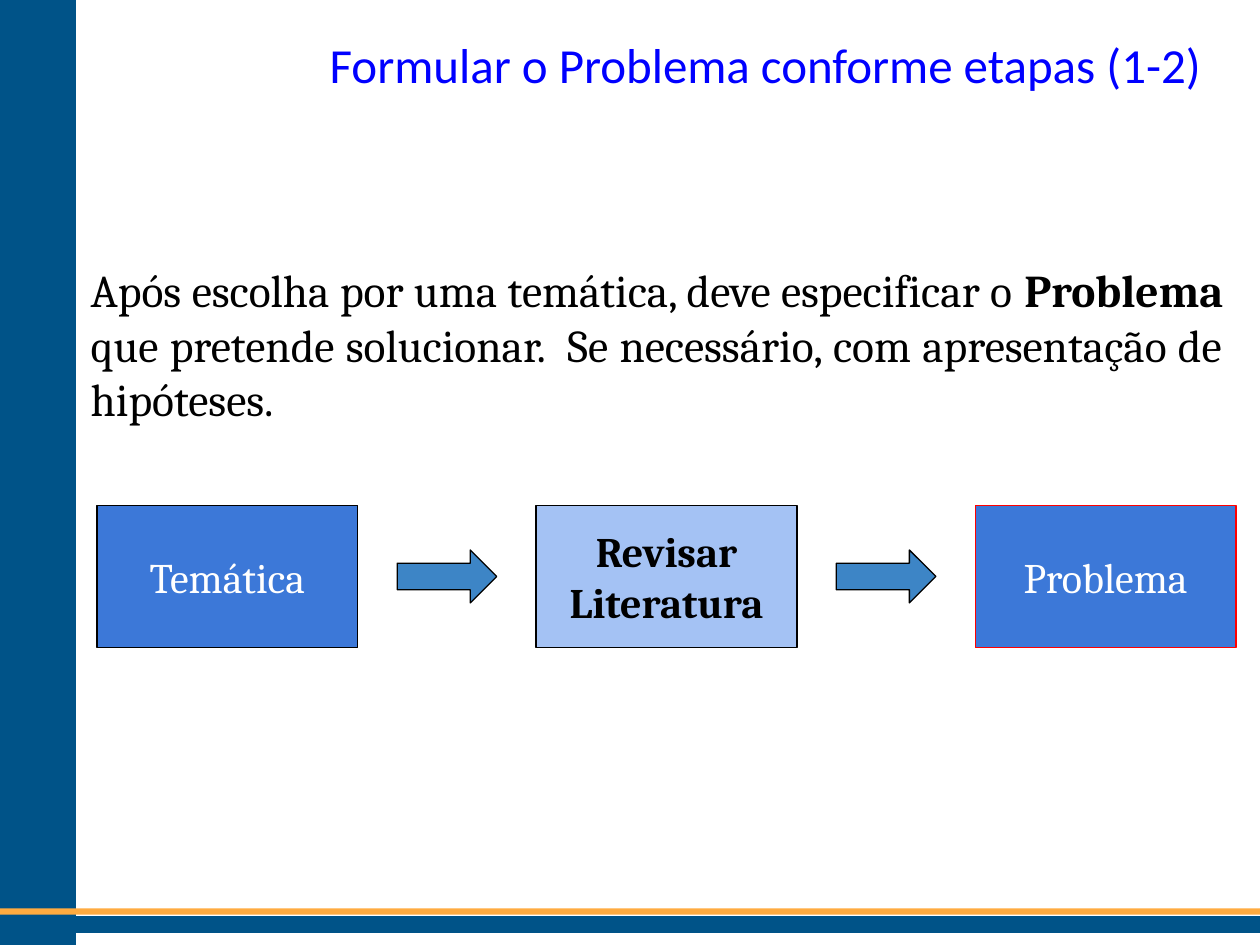
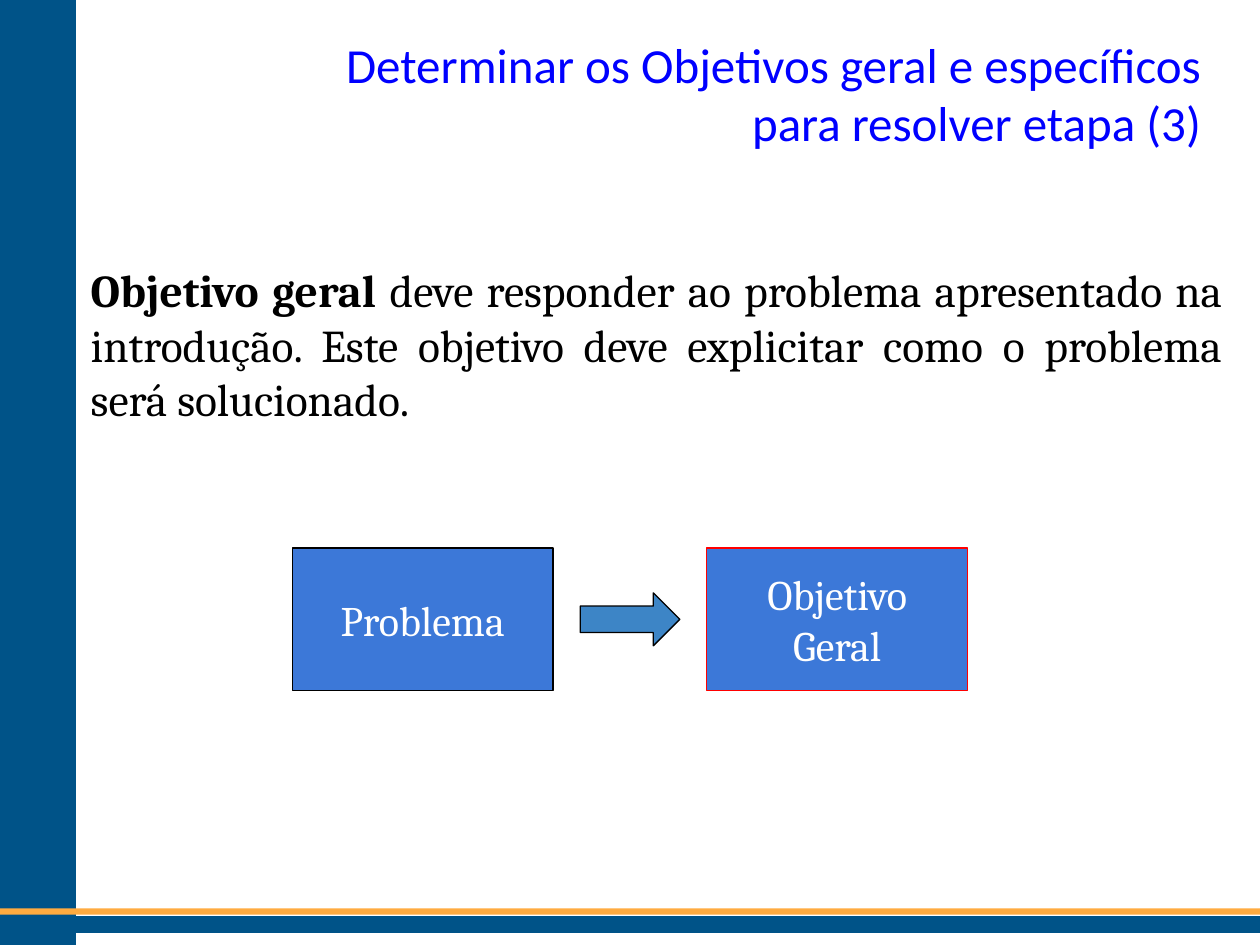
import pptx
import pptx.util
import pptx.dml.color
import pptx.enum.shapes
import pptx.enum.text
import lxml.etree

COLS, ROWS = 100, 75
WIDE, HIGH = pptx.util.Inches(10), pptx.util.Inches(7.5)
KIND = pptx.enum.shapes.MSO_SHAPE
ALIGN = pptx.enum.text.PP_ALIGN
ANCHOR = pptx.enum.text.MSO_ANCHOR
NAVY, GOLD, BLUE, PALE, SKY = "005388", "FFAB40", "3C78D8", "A4C2F4", "3D85C6"
BLACK, WHITE, RED = "000000", "FFFFFF", "FF0000"
HEAD = {"name": "Calibri", "size": 28, "color": "0000FF", "bold": False}
BODY = {"name": "Cambria", "size": 26, "color": BLACK, "bold": False}
NODE = {"name": "Cambria", "size": 24, "color": WHITE, "bold": False}
STRONG = {"color": BLACK, "bold": True}
NODE_W, ARROW_W, ARROW_H = 20.7, 7.9, 4.2

BANDS = [
    ((0, 0, 6, 75), NAVY, NAVY),
    ((0, 72.8, 100, 1.2), NAVY, NAVY),
    ((0, 72.1, 100, 0.5), GOLD, None),
]

SLIDES = [
    {
        "title": "Formular o Problema conforme etapas (1-2)",
        "head": (16.2, 1.7, 80.1, 7.8),
        "text": [
            ("Após escolha por uma temática, deve especificar o ", False),
            ("Problema ", True),
            ("que pretende solucionar.  Se necessário, com apresentação de hipóteses.", False),
        ],
        "flow": (7.7, 40.1, 90.4, 11.3),
        "steps": [
            ("Temática", BLUE, BLACK, {}),
            ("Revisar Literatura", PALE, BLACK, STRONG),
            ("Problema", BLUE, RED, {}),
        ],
    },
    {
        "title": "Determinar os Objetivos geral e específicos para resolver etapa (3)",
        "head": (26, 1.7, 70.3, 7.8),
        "text": [
            ("Objetivo geral", True),
            (" deve responder ao problema apresentado na introdução. "
             "Este objetivo deve explicitar como o problema será solucionado.", False),
        ],
        "flow": (23.2, 43.5, 53.6, 11.3),
        "steps": [
            ("Problema", BLUE, BLACK, {}),
            ("Objetivo Geral", BLUE, RED, {}),
        ],
    },
]


def tint(code):
    """Turn a hex string into a colour."""
    return pptx.dml.color.RGBColor.from_string(code)


def span(box):
    """Turn a box in grid units into slide lengths."""
    x, y, w, h = box
    return (round(x * WIDE / COLS), round(y * HIGH / ROWS),
            round(w * WIDE / COLS), round(h * HIGH / ROWS))


def assign(item, values):
    """Set each attribute named in a dict."""
    for key, value in values.items():
        setattr(item, key, value)


def write(par, text, form):
    """Add a run of text in the given format."""
    run = par.add_run()
    run.text = text
    assign(run.font, {"name": form["name"], "bold": form["bold"],
                      "size": pptx.util.Pt(form["size"])})
    run.font.color.rgb = tint(form["color"])


def frame(shape, align, anchor, pad):
    """Prepare a text frame and return its first paragraph."""
    text = shape.text_frame
    side = pptx.util.Inches(0.1)
    edge = pptx.util.Inches(pad)
    assign(text, {"word_wrap": True, "auto_size": pptx.enum.text.MSO_AUTO_SIZE.NONE,
                  "vertical_anchor": anchor, "margin_left": side, "margin_right": side,
                  "margin_top": edge, "margin_bottom": edge})
    par = text.paragraphs[0]
    assign(par, {"alignment": align, "space_before": pptx.util.Pt(0)})
    return par


def draw(slide, kind, box, fill, line, width=0.75):
    """Add a flat shape with a fill and an optional line."""
    shape = slide.shapes.add_shape(kind, *span(box))
    shape.shadow.inherit = False
    shape.fill.solid()
    shape.fill.fore_color.rgb = tint(fill)
    if line:
        shape.line.color.rgb = tint(line)
        shape.line.width = pptx.util.Pt(width)
    else:
        shape.line.fill.background()
    return shape


def brand(slide, master):
    """Draw the shared bands and move them to the back of the master."""
    tree = master.shapes.element
    for step, (box, fill, line) in enumerate(BANDS):
        item = draw(slide, KIND.RECTANGLE, box, fill, line, 1).element
        item.nvSpPr.cNvPr.set("id", str(100 + step))
        tree.insert(2 + step, item)


def move(shape, box):
    """Place a shape on a box of the grid."""
    assign(shape, dict(zip(("left", "top", "width", "height"), span(box))))


def title(slide, box, text):
    """Fill the title placeholder."""
    shape = slide.shapes.title
    move(shape, box)
    write(frame(shape, ALIGN.RIGHT, ANCHOR.TOP, 0.1), text, HEAD)


def body(slide, box, parts):
    """Fill the body placeholder with one plain justified paragraph."""
    shape = slide.placeholders[1]
    move(shape, box)
    par = frame(shape, ALIGN.JUSTIFY, ANCHOR.TOP, 0.05)
    props = par._p.get_or_add_pPr()
    props.set("marL", "0")
    props.set("indent", "0")
    lxml.etree.SubElement(props, pptx.oxml.ns.qn("a:buNone"))
    for text, bold in parts:
        write(par, text, BODY | {"bold": bold})


def flow(slide, box, steps):
    """Spread the steps over a box with an arrow centred in each gap."""
    x, y, w, h = box
    pitch = (w - NODE_W) / (len(steps) - 1)
    for i, (text, fill, line, extra) in enumerate(steps):
        left = x + i * pitch
        node = draw(slide, KIND.RECTANGLE, (left, y, NODE_W, h), fill, line)
        write(frame(node, ALIGN.CENTER, ANCHOR.MIDDLE, 0.1), text, NODE | extra)
        if i:
            mid = left - (pitch - NODE_W) / 2
            spot = (mid - ARROW_W / 2, y + (h - ARROW_H) / 2, ARROW_W, ARROW_H)
            draw(slide, KIND.RIGHT_ARROW, spot, SKY, BLACK)


def main():
    """Build the deck."""
    deck = pptx.Presentation()
    assign(deck, {"slide_width": WIDE, "slide_height": HIGH})
    for i, data in enumerate(SLIDES):
        slide = deck.slides.add_slide(deck.slide_layouts[1])
        if i == 0:
            brand(slide, deck.slide_master)
        title(slide, data["head"], data["title"])
        body(slide, (6.2, 20.3, 91.9, 15.7), data["text"])
        flow(slide, data["flow"], data["steps"])
    deck.save("out.pptx")


if __name__ == "__main__":
    main()
